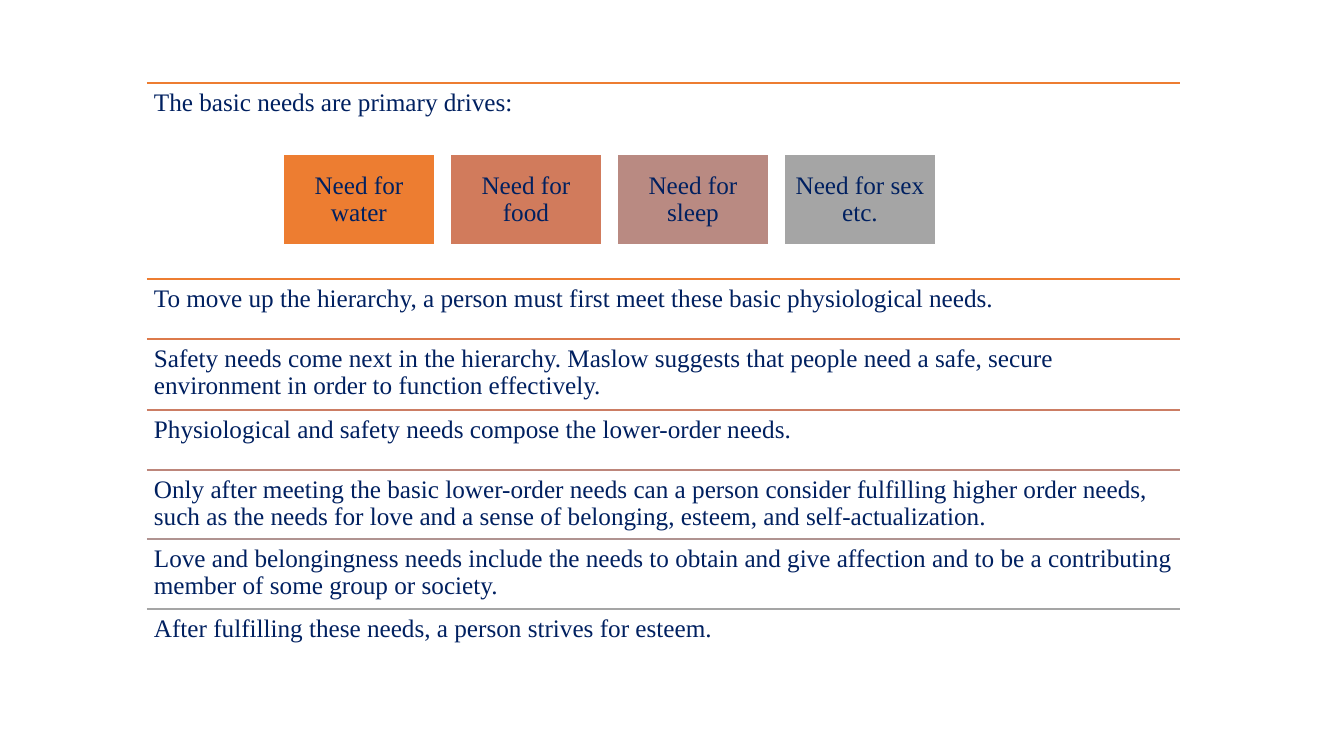
from pptx import Presentation
from pptx.dml.color import RGBColor
from pptx.enum.shapes import MSO_CONNECTOR as Connector, MSO_SHAPE as Shape
from pptx.enum.text import MSO_ANCHOR as Anchor, PP_ALIGN as Align
from pptx.oxml.ns import qn
from pptx.util import Emu, Pt

SLIDE_WIDTH, SLIDE_HEIGHT = 1344, 756
EMU_PER_PX = 12192000 / SLIDE_WIDTH

NAVY = RGBColor(0x00, 0x20, 0x60)
WHITE = RGBColor(0xFF, 0xFF, 0xFF)
ORANGE = RGBColor(0xED, 0x7D, 0x31)
BURNT_ORANGE = RGBColor(0xDC, 0x7A, 0x4B)
TERRACOTTA = RGBColor(0xD1, 0x7B, 0x5C)
CLAY = RGBColor(0xCC, 0x7D, 0x64)
DUSTY_ROSE = RGBColor(0xBD, 0x86, 0x7B)
ROSE = RGBColor(0xB9, 0x8A, 0x82)
TAUPE = RGBColor(0xB0, 0x93, 0x91)
GRAY = RGBColor(0xA5, 0xA5, 0xA5)

ROW_LEFT, ROW_WIDTH = 147, 1033
CARD_LEFT, CARD_TOP, CARD_STEP = 283, 154, 167
CARD_WIDTH, CARD_HEIGHT = 152, 91

# Top, height, rule colour and statement of each row
ROWS = [
    (83, 65, ORANGE, "The basic needs are primary drives:"),
    (279, 60, ORANGE, "To move up the hierarchy, a person must first meet these "
     "basic physiological needs."),
    (339, 71, BURNT_ORANGE, "Safety needs come next in the hierarchy. Maslow suggests "
     "that people need a safe, secure environment in order to function effectively."),
    (410, 60, CLAY, "Physiological and safety needs compose the lower-order needs."),
    (470, 69, DUSTY_ROSE, "Only after meeting the basic lower-order needs can a person "
     "consider fulfilling higher order needs, such as the needs for love and a sense of "
     "belonging, esteem, and self-actualization."),
    (539, 70, TAUPE, "Love and belongingness needs include the needs to obtain and give "
     "affection and to be a contributing member of some group or society."),
    (609, 60, GRAY, "After fulfilling these needs, a person strives for esteem."),
]
CARDS = [
    ("Need for water", ORANGE),
    ("Need for food", TERRACOTTA),
    ("Need for sleep", ROSE),
    ("Need for sex etc.", GRAY),
]


def px(length):
    return Emu(round(length * EMU_PER_PX))


def write_text(shape, text, *, font, size, color, inset, align, anchor):
    frame = shape.text_frame
    frame.word_wrap = True
    frame.vertical_anchor = anchor
    frame.margin_left = frame.margin_right = px(inset)
    frame.margin_top = frame.margin_bottom = px(inset)
    para = frame.paragraphs[0]
    para.alignment = align
    para.line_spacing = 0.9
    span = para.add_run()
    span.text = text
    span.font.name = font
    span.font.size = Pt(size)
    span.font.color.rgb = color


class SlideBuilder:
    text_style = dict(font="Times New Roman", size=18, color=NAVY, inset=7)
    line_width = Pt(1)

    def __init__(self, slide):
        self.shapes = slide.shapes

    def rule(self, left, top, width, color):
        line = self.shapes.add_connector(
            Connector.STRAIGHT, px(left), px(top), px(left + width), px(top))
        line.line.color.rgb = color
        line.line.width = self.line_width
        properties = line._element.spPr
        properties.append(properties.makeelement(qn("a:effectLst"), {}))

    def statement(self, left, top, width, height, text):
        box = self.shapes.add_textbox(px(left), px(top), px(width), px(height))
        write_text(box, text, align=Align.LEFT, anchor=Anchor.TOP, **self.text_style)

    def card(self, left, top, width, height, text, fill):
        card = self.shapes.add_shape(
            Shape.RECTANGLE, px(left), px(top), px(width), px(height))
        card.shadow.inherit = False
        card.fill.solid()
        card.fill.fore_color.rgb = fill
        card.line.color.rgb = WHITE
        card.line.width = self.line_width
        write_text(card, text, align=Align.CENTER, anchor=Anchor.MIDDLE,
                   **self.text_style)


def main():
    deck = Presentation()
    deck.slide_width, deck.slide_height = px(SLIDE_WIDTH), px(SLIDE_HEIGHT)
    page = SlideBuilder(deck.slides.add_slide(deck.slide_layouts[6]))

    # Ruled statements
    for top, height, color, text in ROWS:
        page.rule(ROW_LEFT, top, ROW_WIDTH, color)
        page.statement(ROW_LEFT, top, ROW_WIDTH, height, text)

    # Basic need cards
    for index, (text, fill) in enumerate(CARDS):
        page.card(CARD_LEFT + index * CARD_STEP, CARD_TOP,
                  CARD_WIDTH, CARD_HEIGHT, text, fill)

    deck.save("out.pptx")


if __name__ == "__main__":
    main()
